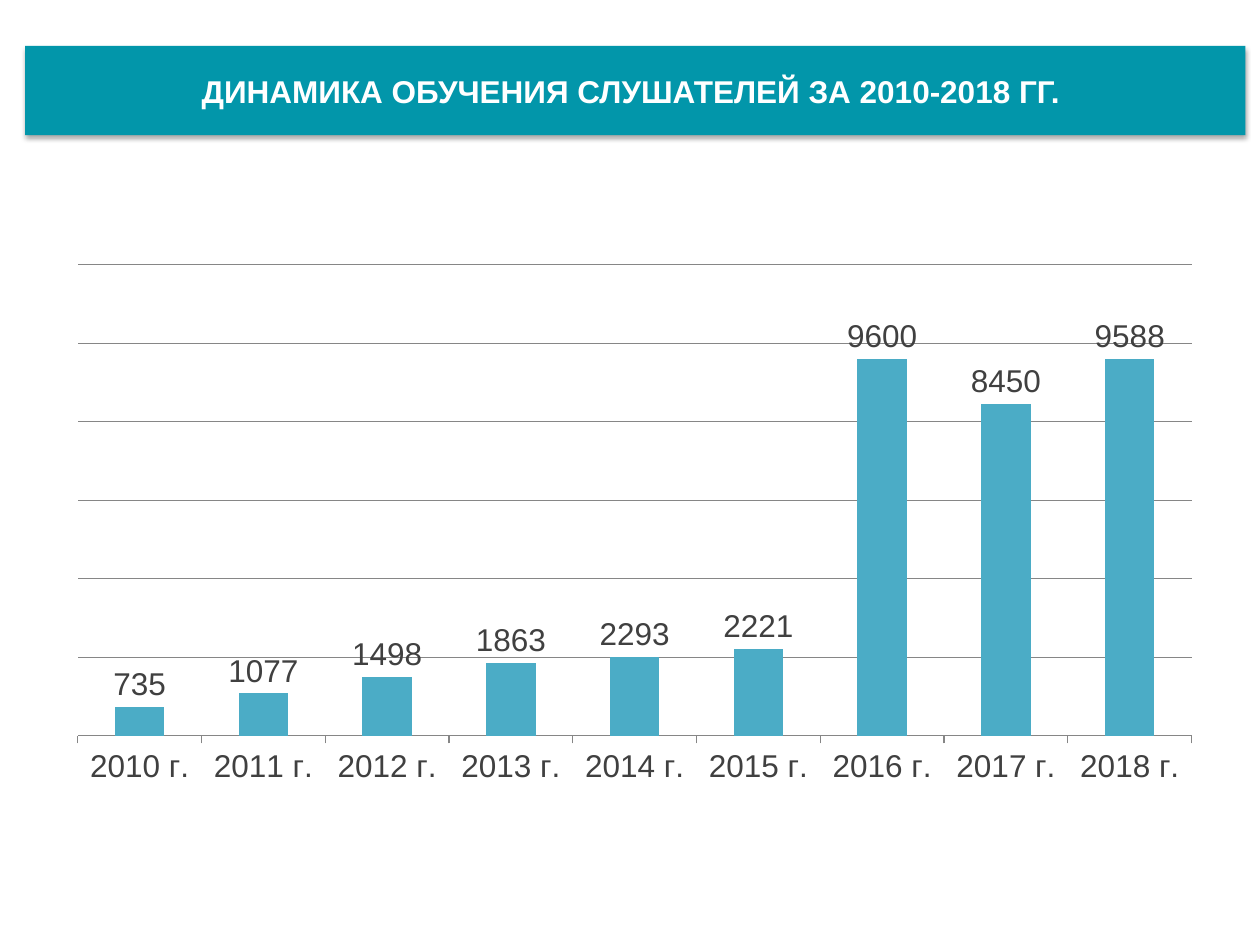
from lxml.etree import SubElement
from pptx import Presentation
from pptx.chart.data import CategoryChartData
from pptx.dml.color import RGBColor
from pptx.enum.chart import XL_CHART_TYPE as ChartType
from pptx.enum.chart import XL_LABEL_POSITION as LabelPosition
from pptx.enum.chart import XL_TICK_LABEL_POSITION as TickLabels
from pptx.enum.chart import XL_TICK_MARK as TickMark
from pptx.enum.text import MSO_ANCHOR, MSO_AUTO_SIZE, PP_ALIGN
from pptx.oxml.ns import qn
from pptx.util import Pt

COLORS = {
    "banner": "0296AA",
    "title": "FFFFFF",
    "bar": "4BACC6",
    "text": "404040",
    "line": "868686",
    "shadow": "000000",
}
FONT = "Arial"
FONT_SIZE = Pt(18)
FIRST_YEAR = 2010
STUDENTS = [735, 1077, 1498, 1863, 2013, 2221, 9600, 8450, 9588]
LABEL_OVERRIDES = {4: "2293"}


def color(name):
    return RGBColor.from_string(COLORS[name])


def style_font(font, color_name, bold=False):
    font.name = FONT
    font.size = FONT_SIZE
    font.bold = bold
    font.color.rgb = color(color_name)


def add_soft_shadow(shape):
    """Cast a blurred shadow straight down."""
    effects = SubElement(shape._element.spPr, qn("a:effectLst"))
    shadow = SubElement(
        effects, qn("a:outerShdw"), blurRad=str(Pt(3.1)), dist=str(Pt(1.8)),
        dir="5400000", rotWithShape="0")
    tint = SubElement(shadow, qn("a:srgbClr"), val=COLORS["shadow"])
    SubElement(tint, qn("a:alpha"), val="35000")


def place_banner(page, left, top, width, height):
    banner = page.shapes.title
    banner.left, banner.top = Pt(left), Pt(top)
    banner.width, banner.height = Pt(width), Pt(height)
    banner.fill.solid()
    banner.fill.fore_color.rgb = color("banner")
    add_soft_shadow(banner)

    frame = banner.text_frame
    frame.text = "ДИНАМИКА ОБУЧЕНИЯ СЛУШАТЕЛЕЙ ЗА 2010-2018 ГГ. "
    frame.word_wrap = True
    frame.auto_size = MSO_AUTO_SIZE.NONE
    frame.vertical_anchor = MSO_ANCHOR.MIDDLE
    para = frame.paragraphs[0]
    para.alignment = PP_ALIGN.CENTER
    para.space_before = Pt(3.6)
    style_font(para.runs[0].font, "title", bold=True)


def style_axes(chart):
    years = chart.category_axis
    years.major_tick_mark = TickMark.OUTSIDE
    counts = chart.value_axis
    counts.minimum_scale, counts.maximum_scale = 0, 12000
    counts.major_unit = 2000
    counts.major_tick_mark = TickMark.NONE
    counts.tick_label_position = TickLabels.NONE
    counts.has_major_gridlines = True
    counts.visible = False
    for line in (years.format.line, counts.major_gridlines.format.line):
        line.color.rgb = color("line")
        line.width = Pt(0.75)


def label_bars(series):
    labels = series.data_labels
    labels.show_value = True
    labels.position = LabelPosition.OUTSIDE_END
    style_font(labels.font, "text")
    for index, text in LABEL_OVERRIDES.items():
        label = series.points[index].data_label
        label.text_frame.text = text
        label.position = LabelPosition.OUTSIDE_END
        style_font(label.text_frame.paragraphs[0].runs[0].font, "text")


def place_chart(page, left, top, width, height):
    data = CategoryChartData()
    data.categories = [f"{FIRST_YEAR + i} г." for i in range(len(STUDENTS))]
    data.add_series("Series 1", STUDENTS)
    chart = page.shapes.add_chart(
        ChartType.COLUMN_CLUSTERED, Pt(left), Pt(top), Pt(width), Pt(height),
        data).chart
    chart.has_title = False
    chart.has_legend = False
    style_font(chart.font, "text")
    style_axes(chart)

    plot = chart.plots[0]
    plot.gap_width = 150
    plot.vary_by_categories = False
    series = plot.series[0]
    series.format.fill.solid()
    series.format.fill.fore_color.rgb = color("bar")
    label_bars(series)


def main():
    deck = Presentation()
    deck.slide_width, deck.slide_height = Pt(720), Pt(540)
    page = deck.slides.add_slide(deck.slide_layouts.get_by_name("Title Only"))
    place_banner(page, 14.4, 26.2, 697.2, 51)
    place_chart(page, 31.2, 145.2, 663, 308.8)
    deck.save("out.pptx")


if __name__ == "__main__":
    main()
